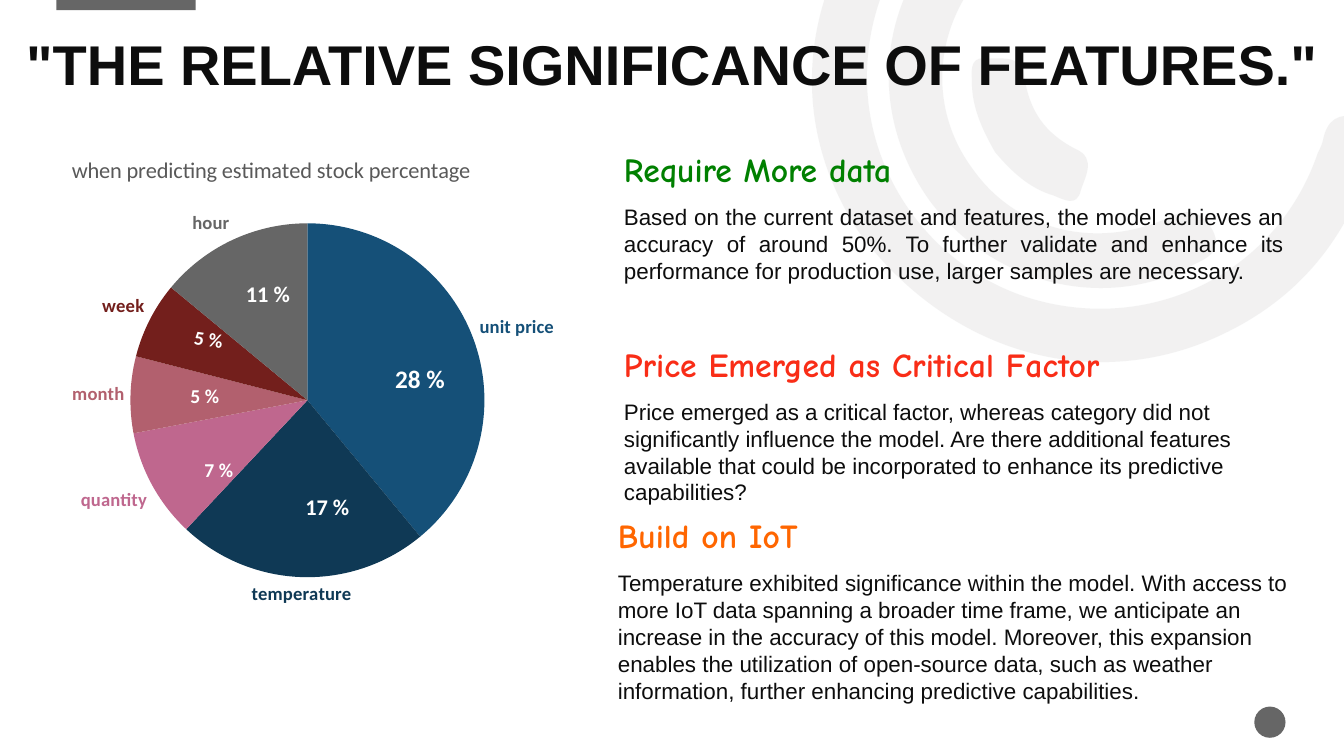
from lxml import etree
from pptx import Presentation
from pptx.chart.data import CategoryChartData
from pptx.dml.color import RGBColor
from pptx.enum.chart import XL_CHART_TYPE, XL_LABEL_POSITION
from pptx.enum.shapes import MSO_SHAPE
from pptx.enum.text import MSO_ANCHOR, PP_ALIGN
from pptx.oxml import parse_xml
from pptx.oxml.ns import nsdecls, qn
from pptx.util import Pt

PX = 9144  # EMU per px, 100 px to the inch
INK = RGBColor(0x0D, 0x0D, 0x0D)
GREY = RGBColor(0x66, 0x66, 0x66)
TITLE_GREY = RGBColor(0x59, 0x59, 0x59)
RING_GREY = RGBColor(0xE7, 0xE6, 0xE6)
WHITE = RGBColor(0xFF, 0xFF, 0xFF)
GREEN = RGBColor(0x00, 0x80, 0x00)
RED = RGBColor(0xF9, 0x2D, 0x17)
ORANGE = RGBColor(0xFF, 0x66, 0x00)
BLUE = RGBColor(0x15, 0x50, 0x78)
NAVY = RGBColor(0x0F, 0x39, 0x55)
PINK = RGBColor(0xBF, 0x67, 0x8E)
ROSE = RGBColor(0xB2, 0x60, 0x6E)
MAROON = RGBColor(0x73, 0x1F, 0x1C)

TITLE = '"THE RELATIVE SIGNIFICANCE OF FEATURES."'
CHART_TITLE = "when predicting estimated stock percentage"
SLICES = [
    ("unit price", 39, BLUE), ("temperature", 23, NAVY), ("quantity", 10, PINK),
    ("month", 7, ROSE), ("week", 7, MAROON), ("hour", 14, GREY),
]
# text, size, left, top, width, height, rotation
PERCENTAGES = [
    ("28 %", 18, 382, 356, 123, 40, 0), ("17 %", 16, 293, 484, 123, 37, 0),
    ("7 %", 14, 193, 449, 54, 34, 0), ("5 %", 14, 179, 376, 69, 34, 0),
    ("5 %", 14, 183, 320, 49, 34, 8.9), ("11 %", 16, 234, 273, 128, 37, 0),
]
# heading, colour, body, alignment, box
FINDINGS = [
    ("Require More data", GREEN,
     "Based on the current dataset and features, the model achieves an accuracy of around 50%. "
     "To further validate and enhance its performance for production use, larger samples are "
     "necessary.", PP_ALIGN.JUSTIFY, (609, 143, 674, 147)),
    ("Price Emerged as Critical Factor", RED,
     "Price emerged as a critical factor, whereas category did not significantly influence the "
     "model. Are there additional features available that could be incorporated to enhance its "
     "predictive capabilities?", PP_ALIGN.LEFT, (609, 336, 668, 145)),
    ("Build on IoT", ORANGE,
     "Temperature exhibited significance within the model. With access to more IoT data spanning "
     "a broader time frame, we anticipate an increase in the accuracy of this model. Moreover, "
     "this expansion enables the utilization of open-source data, such as weather information, "
     "further enhancing predictive capabilities.", PP_ALIGN.LEFT, (603, 506, 700, 202)),
]
# Each arc: start point, then Bézier segments of two handles and an end point
ARCS = [
    [(851, 229),
     (799, 149), (787, 50), (838, -50), (890, -152), (976, -203), (1090, -207),
     (1105, -207), (1121, -210), (1131, -195), (1144, -175), (1127, -154), (1098, -154),
     (967, -154), (865, -59), (860, 68), (856, 181), (936, 281), (1046, 302),
     (1160, 324), (1270, 261), (1307, 152), (1309, 148), (1311, 144), (1312, 140),
     (1316, 119), (1327, 111), (1349, 117), (1373, 124), (1367, 141), (1361, 156),
     (1334, 245), (1278, 307), (1191, 341), (1070, 387), (936, 345), (851, 229)],
    [(922, 199),
     (862, 115), (869, 7), (940, -68), (951, -79), (962, -95), (980, -78),
     (995, -64), (997, -50), (979, -32), (925, 26), (920, 108), (965, 168),
     (1008, 229), (1088, 249), (1161, 215), (1182, 205), (1193, 212), (1203, 229),
     (1213, 250), (1197, 256), (1183, 263), (1096, 310), (983, 282), (922, 199)],
    [(987, 151),
     (975, 130), (964, 107), (964, 82), (964, 73), (961, 57), (976, 58),
     (992, 59), (1013, 53), (1016, 76), (1021, 110), (1036, 132), (1067, 148),
     (1088, 157), (1076, 176), (1072, 189), (1068, 206), (1055, 198), (1045, 194),
     (1021, 187), (1003, 170), (987, 151)],
]


def emu(*lengths):
    return [length * PX for length in lengths]


def paint(shape, color):
    shape.shadow.inherit = False
    shape.fill.solid()
    shape.fill.fore_color.rgb = color
    shape.line.fill.background()


def style(font, name, size, color, bold):
    font.name, font.size, font.bold = name, Pt(size), bold
    font.color.rgb = color


def add_text(slide, box, *texts):
    shape = slide.shapes.add_textbox(*emu(*box))
    frame = shape.text_frame
    frame.word_wrap = True
    frame.text = "\n".join(texts)
    return shape


def add_arc(slide, points):
    builder = slide.shapes.build_freeform(*points[0], scale=PX)
    builder.add_line_segments(points[1:], close=True)
    arc = builder.convert_to_shape()
    paint(arc, RING_GREY)
    color = arc.element.spPr.find(".//" + qn("a:srgbClr"))
    etree.SubElement(color, qn("a:alpha")).set("val", "53000")
    # Every three line points become one curve
    lines = list(arc.element.iter(qn("a:lnTo")))
    for index in range(0, len(points) - 1, 3):
        curve = etree.Element(qn("a:cubicBezTo"))
        lines[index].addprevious(curve)
        for line in lines[index:index + 3]:
            curve.append(line[0])
            line.getparent().remove(line)


def set_layout(parent, index, **fractions):
    for old in parent.findall(qn("c:layout")):
        parent.remove(old)
    parts = "".join(f'<c:{key} val="{value}"/>' for key, value in fractions.items())
    target = '<c:layoutTarget val="inner"/>' if "w" in fractions else ""
    parent.insert(index, parse_xml(
        f'<c:layout {nsdecls("c")}><c:manualLayout>{target}<c:xMode val="edge"/>'
        f'<c:yMode val="edge"/>{parts}</c:manualLayout></c:layout>'))


def add_pie(slide):
    data = CategoryChartData()
    data.categories = [name for name, _, _ in SLICES]
    data.add_series("Series 1", [value for _, value, _ in SLICES])
    chart = slide.shapes.add_chart(XL_CHART_TYPE.PIE, *emu(13, 135, 602, 481), data).chart
    chart.font.name, chart.font.size = "Calibri", Pt(10)
    chart.has_legend = False
    chart.has_title = True
    chart.chart_title.text_frame.text = CHART_TITLE
    title_run = chart.chart_title.text_frame.paragraphs[0].runs[0]
    style(title_run.font, "Calibri", 16, TITLE_GREY, False)
    plot = chart.plots[0]
    plot.vary_by_categories = True
    series = plot.series[0]
    series.data_labels.show_value = False
    series.data_labels.show_category_name = True
    series.data_labels.position = XL_LABEL_POSITION.OUTSIDE_END
    for index, (_, _, color) in enumerate(SLICES):
        point = series.points[index]
        point.format.fill.solid()
        point.format.fill.fore_color.rgb = color
        point.format.line.fill.background()
        style(point.data_label.font, "Calibri", 13.3, color, True)
        point.data_label.position = XL_LABEL_POSITION.OUTSIDE_END
    # Labels show the category only
    for label in chart.element.iter(qn("c:dLbl")):
        for tag, shown in (("showVal", "0"), ("showCatName", "1"), ("showPercent", "0")):
            label.find(qn(f"c:{tag}")).set("val", shown)
    set_layout(chart.element.find(".//" + qn("c:plotArea")), 0, x=0.19, y=0.18, w=0.59, h=0.73)
    set_layout(chart.element.find(".//" + qn("c:title")), 1, x=0.09, y=0.03)


def main():
    presentation = Presentation()
    presentation.slide_width, presentation.slide_height = emu(1333, 750)
    slide = presentation.slides.add_slide(presentation.slide_layouts[6])

    # Background decoration
    for kind, box in ((MSO_SHAPE.RECTANGLE, (56, -2, 138, 12)),
                      (MSO_SHAPE.OVAL, (1244, 701, 31, 31))):
        paint(slide.shapes.add_shape(kind, *emu(*box)), GREY)
    for points in ARCS:
        add_arc(slide, points)

    # Title
    frame = add_text(slide, (0, 28, 1333, 69), TITLE).text_frame
    frame.margin_left = frame.margin_right = frame.margin_top = frame.margin_bottom = 0
    frame.vertical_anchor = MSO_ANCHOR.BOTTOM
    paragraph = frame.paragraphs[0]
    paragraph.alignment, paragraph.line_spacing = PP_ALIGN.CENTER, 0.9
    style(paragraph.runs[0].font, "Arial", 40, INK, True)

    # Pie with percentages
    add_pie(slide)
    for text, size, *box, rotation in PERCENTAGES:
        shape = add_text(slide, box, text)
        shape.rotation = rotation
        shape.text_frame.word_wrap = rotation == 0
        style(shape.text_frame.paragraphs[0].runs[0].font, "Calibri", size, WHITE, True)

    # Findings
    for heading, color, body, alignment, box in FINDINGS:
        title, text = add_text(slide, box, heading, body).text_frame.paragraphs
        style(title.runs[0].font, "Comic Neue", 24, color, True)
        style(text.runs[0].font, "Arial", 16, INK, False)
        text.alignment, text.space_before = alignment, Pt(10)

    presentation.save("out.pptx")


if __name__ == "__main__":
    main()
